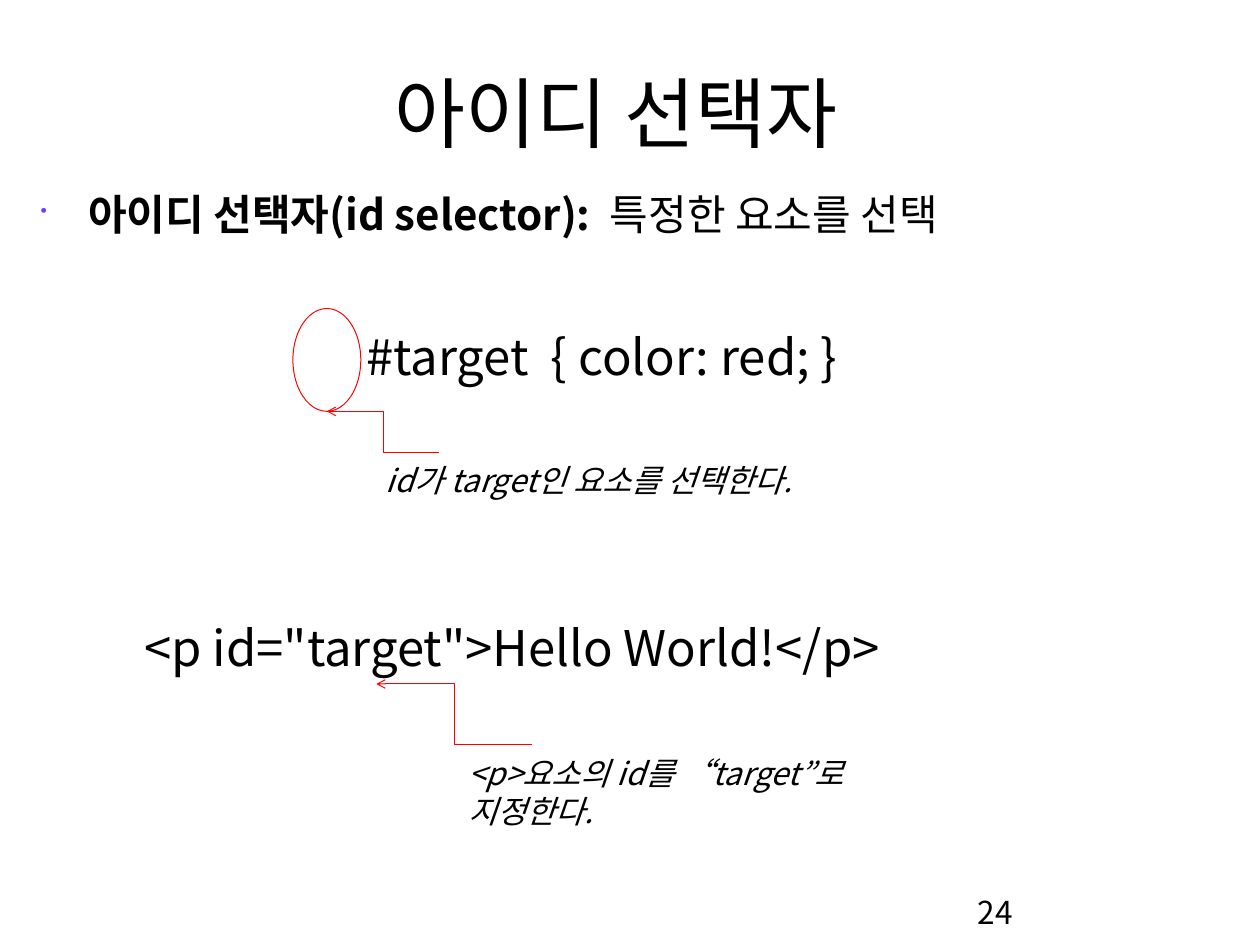
from lxml.etree import SubElement
from pptx import Presentation
from pptx.dml.color import RGBColor
from pptx.enum.shapes import MSO_CONNECTOR, MSO_SHAPE
from pptx.enum.text import MSO_ANCHOR, PP_ALIGN
from pptx.oxml.ns import qn
from pptx.util import Inches, Pt

BLACK = RGBColor(0, 0, 0)
RED = RGBColor(255, 0, 0)
PURPLE = RGBColor(0x70, 0x3D, 0xFF)


class SelectorSlide:
    font_name = "Noto Sans CJK KR"
    line_width = Pt(0.75)

    def __init__(self, prs):
        self.shapes = prs.slides.add_slide(prs.slide_layouts[6]).shapes

    def text(self, box, text, size, bold_lead="", italic=False, wrap=True,
             align=PP_ALIGN.LEFT, anchor=MSO_ANCHOR.TOP, bullet=False):
        """Add one paragraph: bold_lead in bold, then text."""
        frame = self.shapes.add_textbox(*map(Inches, box)).text_frame
        frame.word_wrap = wrap
        frame.vertical_anchor = anchor
        paragraph = frame.paragraphs[0]
        paragraph.alignment = align
        if bullet:
            self.add_bullet(paragraph)
        for part, bold in ((bold_lead, True), (text, False)):
            if not part:
                continue
            run = paragraph.add_run()
            run.text = part
            font = run.font
            font.name, font.size = self.font_name, Pt(size)
            font.bold, font.italic = bold, italic
            font.color.rgb = BLACK
            SubElement(font._element, qn("a:ea"), typeface=self.font_name)

    def add_bullet(self, paragraph):
        properties = paragraph._p.get_or_add_pPr()
        properties.set("marL", str(Inches(0.49)))
        properties.set("indent", str(-Inches(0.49)))
        color = SubElement(properties, qn("a:buClr"))
        SubElement(color, qn("a:srgbClr"), val=str(PURPLE))
        SubElement(properties, qn("a:buSzPct"), val="45000")
        SubElement(properties, qn("a:buChar"), char="•")

    def ring(self, box):
        ellipse = self.shapes.add_shape(MSO_SHAPE.OVAL, *map(Inches, box))
        ellipse.shadow.inherit = False
        ellipse.fill.background()
        self.style_line(ellipse.line)

    def elbow_arrow(self, start, end):
        arrow = self.shapes.add_connector(
            MSO_CONNECTOR.ELBOW, *map(Inches, start + end))
        self.style_line(arrow.line)
        SubElement(arrow.line._get_or_add_ln(), qn("a:tailEnd"), type="arrow")
        SubElement(arrow._element.spPr, qn("a:effectLst"))

    def style_line(self, line):
        line.color.rgb = RED
        line.width = self.line_width


def main():
    prs = Presentation()
    prs.slide_width, prs.slide_height = Inches(12.99), Inches(9.74)
    slide = SelectorSlide(prs)

    slide.text((1.05, 0.61, 10.61, 1.08), "아이디 선택자", 57.2,
               align=PP_ALIGN.CENTER, anchor=MSO_ANCHOR.MIDDLE)
    slide.text((0.32, 1.89, 12.32, 7.06), "특정한 요소를 선택", 31.2,
               bold_lead="아이디 선택자(id selector):  ", bullet=True)

    slide.text((3.68, 3.32, 5.27, 0.71), "#target  { color: red; }", 36.4, wrap=False)
    slide.ring((3.02, 3.18, 0.7, 1.06))
    slide.text((3.88, 4.7, 4.39, 0.49), "id가 target인 요소를 선택한다.", 23.4, italic=True)
    slide.elbow_arrow((4.53, 4.66), (3.37, 4.24))

    slide.text((1.39, 6.31, 7.8, 0.71), '<p id="target">Hello World!</p>', 36.4, wrap=False)
    slide.text((4.73, 7.72, 5.22, 0.49), "<p>요소의 id를 “target”로 지정한다.", 23.4, italic=True)
    slide.elbow_arrow((5.49, 7.67), (3.88, 7.05))

    slide.text((9.98, 9.15, 2.68, 0.6), "24", 23.4)
    prs.save("out.pptx")


if __name__ == "__main__":
    main()
